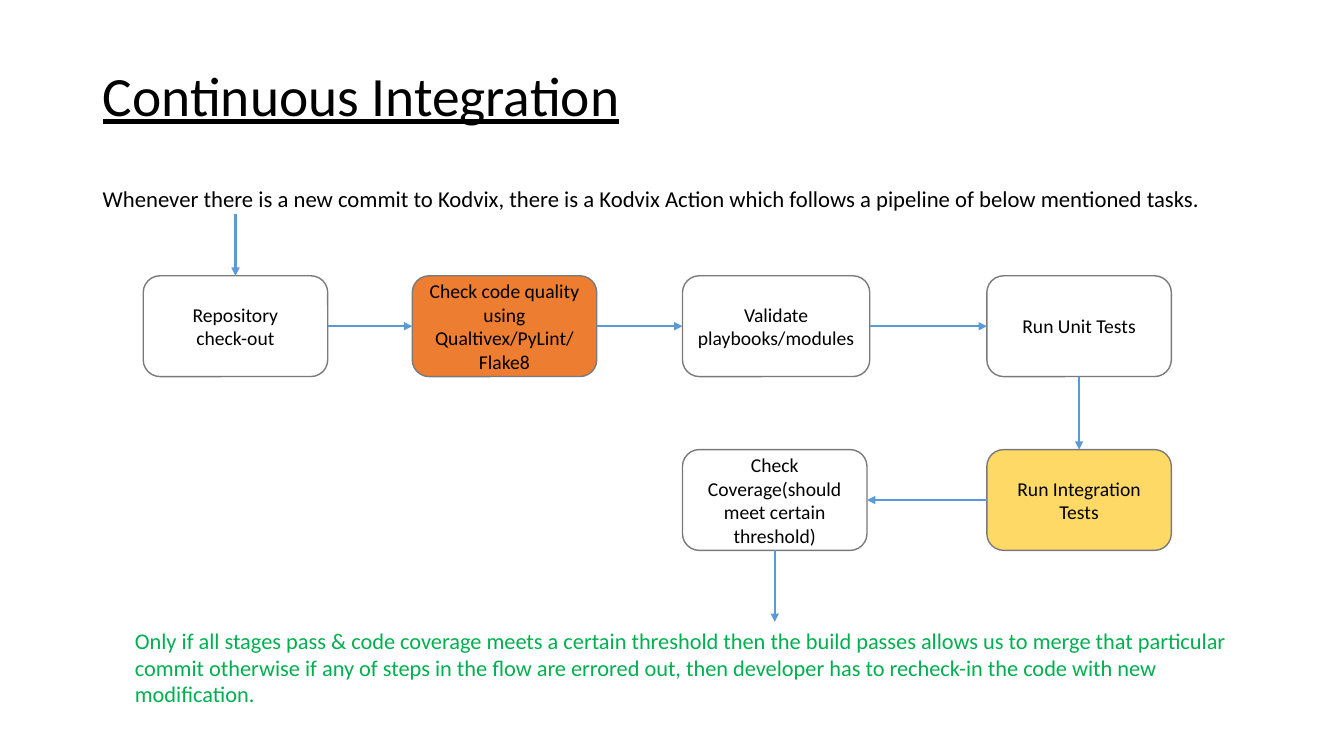
import dataclasses
import typing

import lxml.etree
import pptx
import pptx.dml.color
import pptx.enum.shapes
import pptx.enum.text
import pptx.oxml.ns
import pptx.util

Cm = pptx.util.Cm
Pt = pptx.util.Pt
ALIGN = pptx.enum.text.PP_ALIGN
ANCHOR = pptx.enum.text.MSO_ANCHOR

COLORS = {
    "text": "000000",
    "verdict": "00B050",
    "plain": "FFFFFF",
    "quality": "ED7D31",
    "integration": "FFD966",
    "outline": "7A7A7A",
    "arrow": "5B9BD5",
}
FONT = "Calibri"
COLUMNS = (3.61, 10.39, 17.2, 24.87)
ROWS = (6.95, 11.33)
STAGE_HEIGHT = 2.54
TOP, LEFT, BOTTOM, RIGHT = range(4)  # connection sites of a rounded rectangle


@dataclasses.dataclass(frozen=True)
class Stage:
    label: str
    column: int
    row: int
    fill: str = "plain"
    width: float = 4.65


@dataclasses.dataclass(frozen=True)
class Step:
    """Arrow from one stage to another; an open end lies `reach` cm away."""
    source: typing.Optional[str]
    exit_site: int
    target: typing.Optional[str]
    entry_site: int
    reach: float = 0


STAGES = {
    "checkout": Stage("Repository\ncheck-out", 0, 0),
    "quality": Stage("Check code quality using Qualtivex/PyLint/\vFlake8", 1, 0, "quality"),
    "validate": Stage("Validate playbooks/modules", 2, 0, width=4.72),
    "unit": Stage("Run Unit Tests", 3, 0),
    "integration": Stage("Run Integration Tests", 3, 1, "integration"),
    "coverage": Stage("Check Coverage(should meet certain threshold)", 2, 1),
}
STEPS = (
    Step(None, BOTTOM, "checkout", TOP, 1.57),
    Step("checkout", RIGHT, "quality", LEFT),
    Step("quality", RIGHT, "validate", LEFT),
    Step("validate", RIGHT, "unit", LEFT),
    Step("unit", BOTTOM, "integration", TOP),
    Step("integration", LEFT, "coverage", RIGHT),
    Step("coverage", BOTTOM, None, TOP, 1.8),
)


def rgb(name: str) -> pptx.dml.color.RGBColor:
    return pptx.dml.color.RGBColor.from_string(COLORS[name])


def write(shape, text: str, *, size: float, color: str = "text", underline: bool = False,
          align=ALIGN.LEFT, anchor=ANCHOR.MIDDLE) -> None:
    frame = shape.text_frame
    frame.text = text
    frame.word_wrap = True
    frame.vertical_anchor = anchor
    for paragraph in frame.paragraphs:
        paragraph.alignment = align
        for run in paragraph.runs:
            run.font.name = FONT
            run.font.size = Pt(size)
            run.font.underline = underline
            run.font.color.rgb = rgb(color)


def add_text(slide, left: float, top: float, width: float, height: float,
             text: str, **text_format) -> None:
    box = slide.shapes.add_textbox(Cm(left), Cm(top), Cm(width), Cm(height))
    write(box, text, **text_format)


def add_stage(slide, stage: Stage):
    box = slide.shapes.add_shape(
        pptx.enum.shapes.MSO_SHAPE.ROUNDED_RECTANGLE,
        Cm(COLUMNS[stage.column]), Cm(ROWS[stage.row]), Cm(stage.width), Cm(STAGE_HEIGHT))
    box.shadow.inherit = False
    box.fill.solid()
    box.fill.fore_color.rgb = rgb(stage.fill)
    box.line.color.rgb = rgb("outline")
    box.line.width = Pt(1)
    write(box, stage.label, size=14, align=ALIGN.CENTER)
    return box


def add_step(slide, step: Step, boxes: dict) -> None:
    arrow = slide.shapes.add_connector(pptx.enum.shapes.MSO_CONNECTOR.STRAIGHT, 0, 0, 0, 0)
    if step.source:
        arrow.begin_connect(boxes[step.source], step.exit_site)
    if step.target:
        arrow.end_connect(boxes[step.target], step.entry_site)
    if not step.source:
        arrow.begin_x, arrow.begin_y = arrow.end_x, arrow.end_y - Cm(step.reach)
    if not step.target:
        arrow.end_x, arrow.end_y = arrow.begin_x, arrow.begin_y + Cm(step.reach)
    arrow.line.color.rgb = rgb("arrow")
    arrow.line.width = Pt(1.5)
    qn = pptx.oxml.ns.qn
    properties = arrow.line._get_or_add_ln()
    lxml.etree.SubElement(properties, qn("a:tailEnd"), type="triangle")
    lxml.etree.SubElement(properties.getparent(), qn("a:effectLst"))


def main() -> None:
    deck = pptx.Presentation()
    deck.slide_width, deck.slide_height = Cm(33.87), Cm(19.05)
    slide = deck.slides.add_slide(deck.slide_layouts[6])

    add_text(slide, 2.34, 1.37, 29.21, 2, "Continuous Integration", size=39.6, underline=True)
    add_text(slide, 2.34, 4.51, 29.21, 1,
             "Whenever there is a new commit to Kodvix, there is a Kodvix Action "
             "which follows a pipeline of below mentioned tasks.", size=16.2)
    boxes = {key: add_stage(slide, stage) for key, stage in STAGES.items()}
    for step in STEPS:
        add_step(slide, step, boxes)
    add_text(slide, 3.15, 15.67, 29.11, 2.31,
             "Only if all stages pass & code coverage meets a certain threshold then the build "
             "passes allows us to merge that particular commit otherwise if any of steps in the "
             "flow are errored out, then developer has to recheck-in the code with new "
             "modification.", size=16, color="verdict", anchor=ANCHOR.TOP)
    deck.save("out.pptx")


if __name__ == "__main__":
    main()
